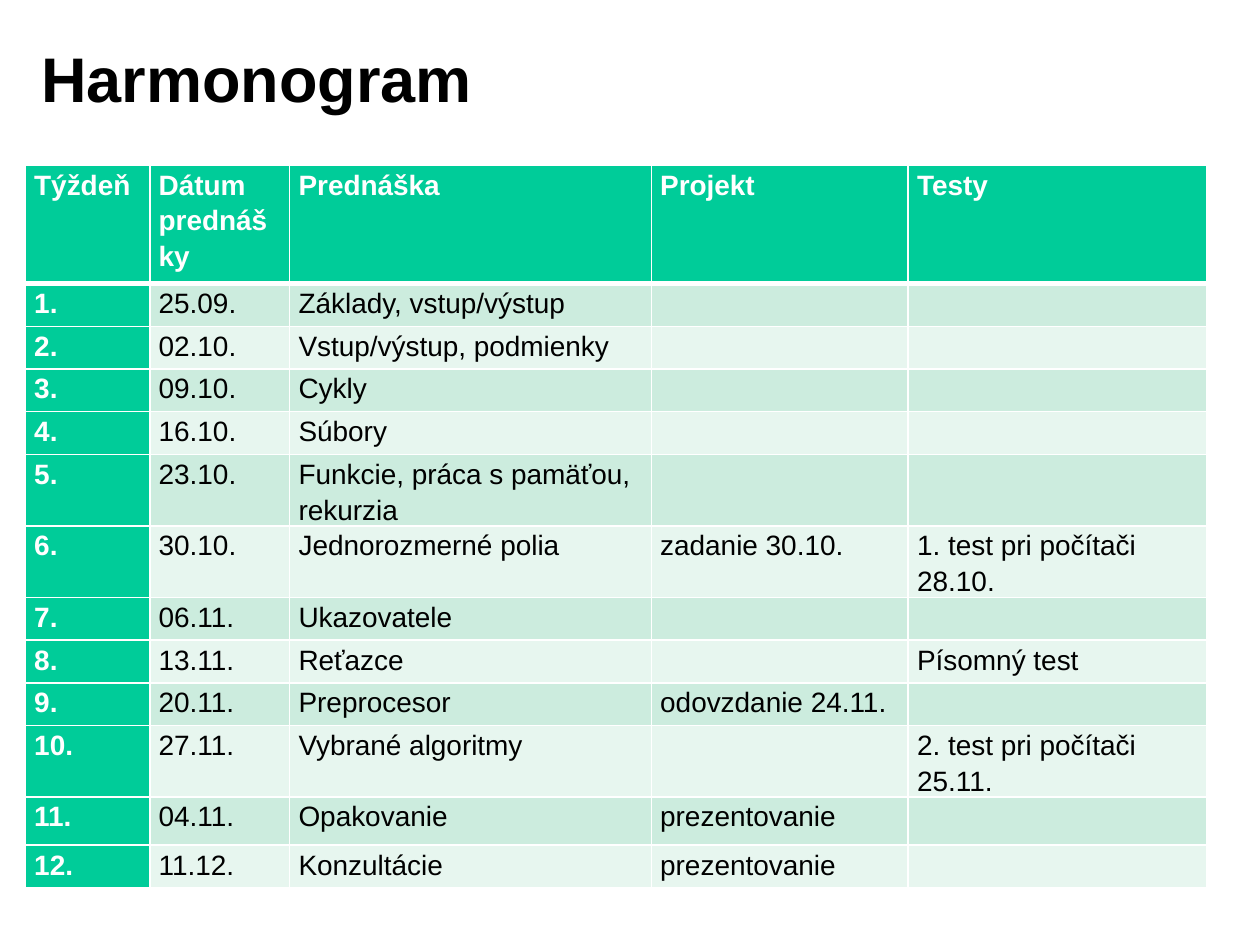
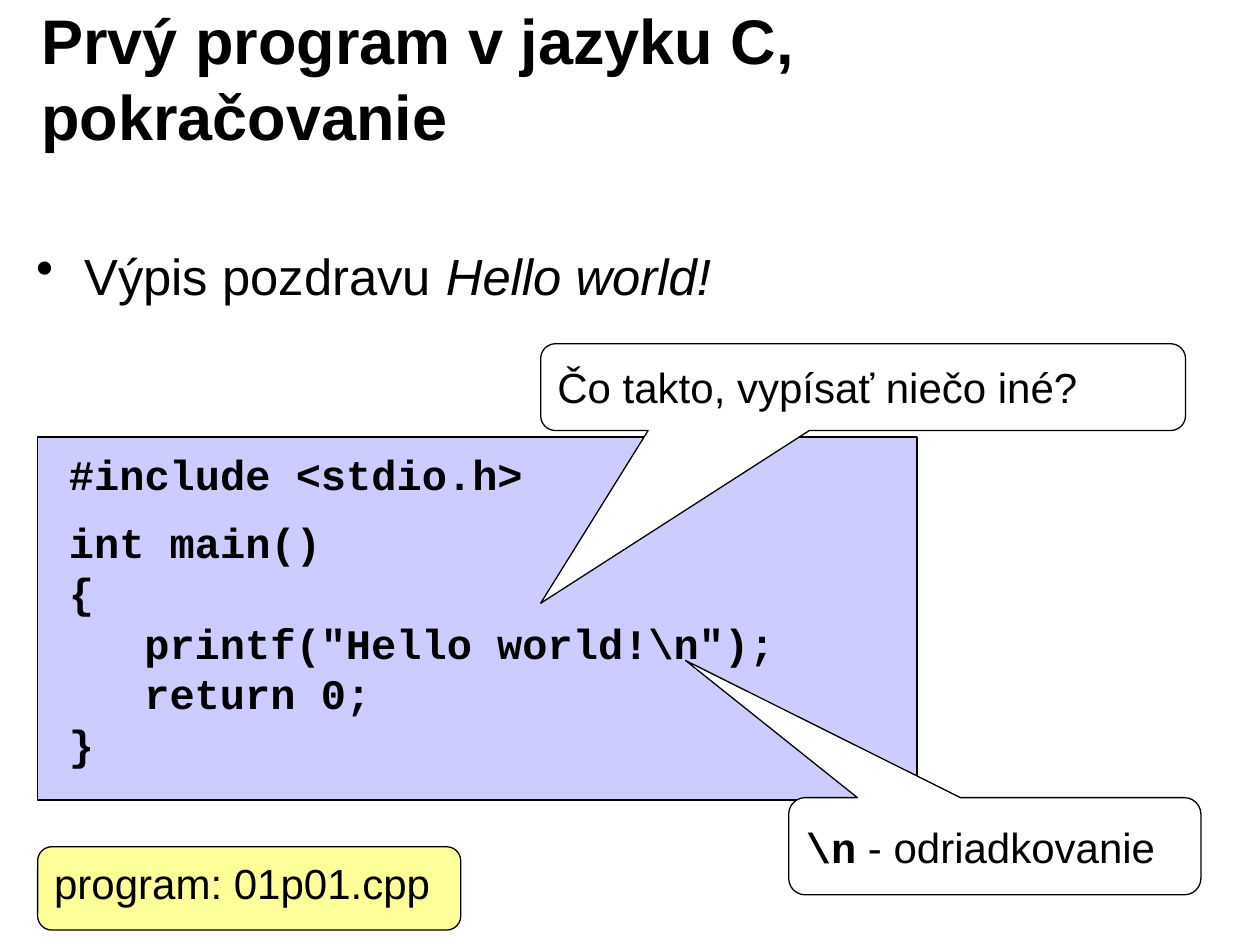
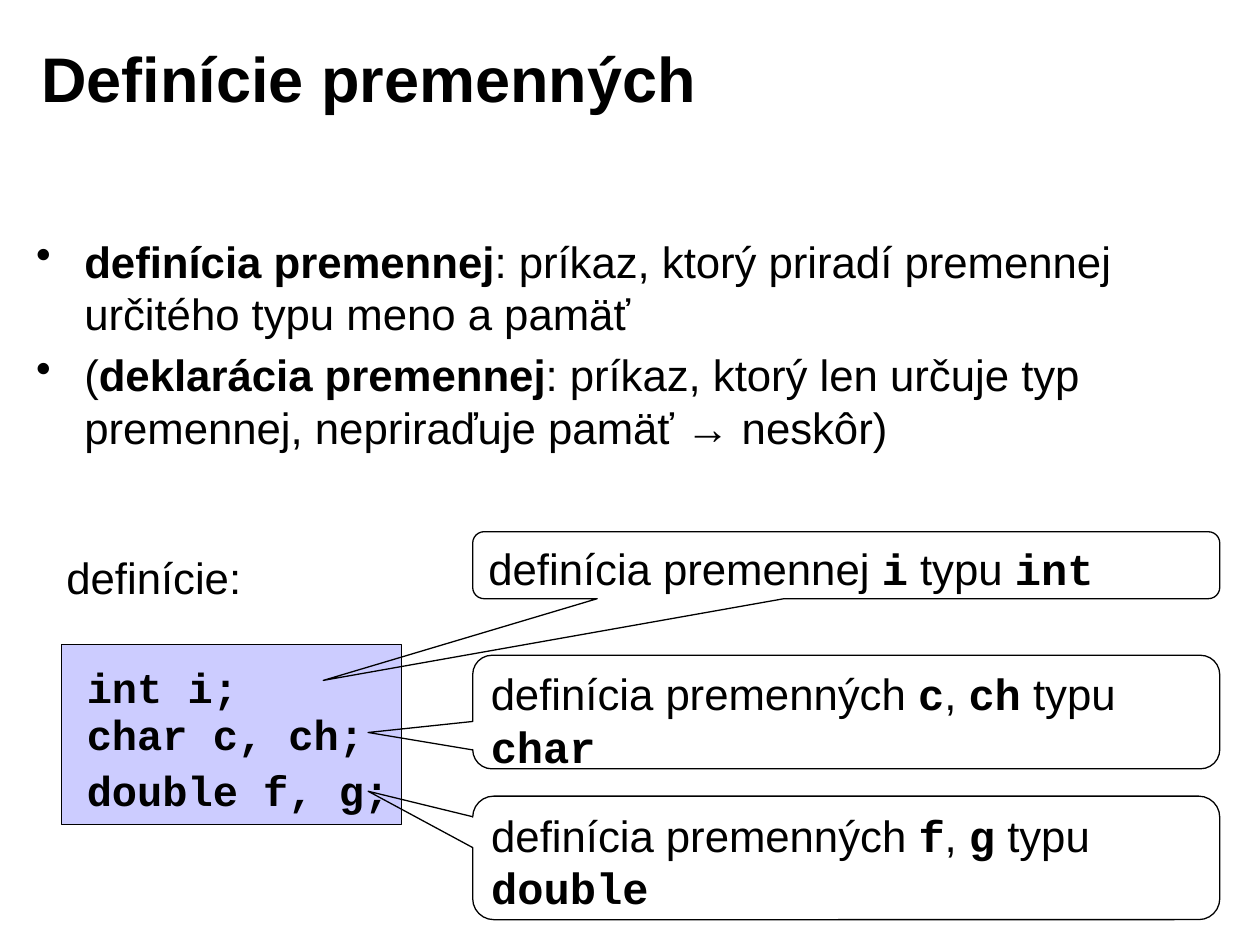
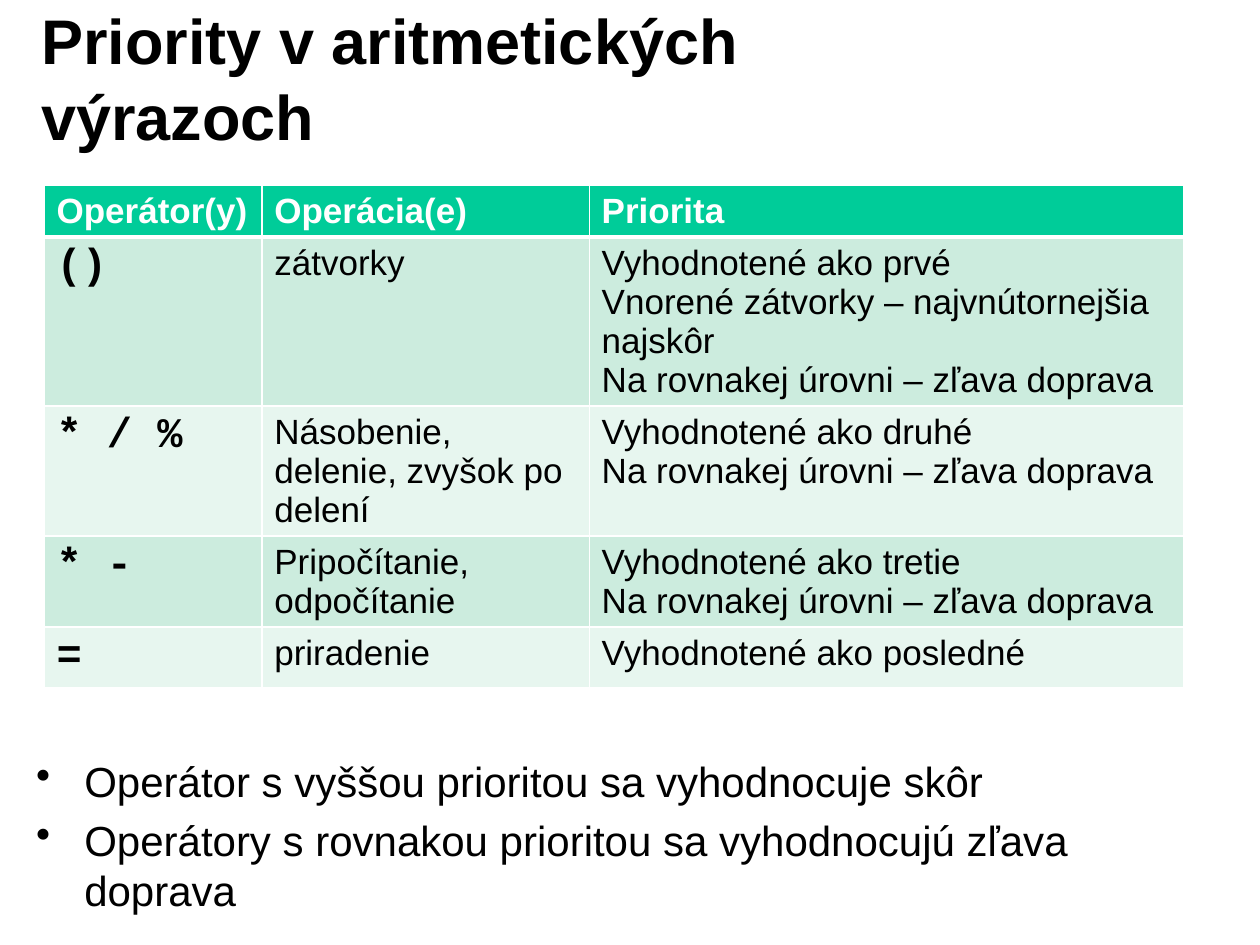
from lxml.etree import SubElement
from pptx import Presentation
from pptx.dml.color import RGBColor
from pptx.enum.shapes import MSO_SHAPE as Preset
from pptx.enum.text import MSO_ANCHOR as Anchor, MSO_AUTO_SIZE as AutoSize, PP_ALIGN as Align
from pptx.oxml.ns import qn
from pptx.util import Cm, Pt

BLACK, WHITE = "000000", "FFFFFF"
GREEN, BAND_DARK, BAND_LIGHT = "00CC99", "CCECDE", "E7F6EF"
LAVENDER, YELLOW = "CCCCFF", "FFFF99"
SANS, CODE = "Arial", "Courier New"
CALLOUT = Preset.ROUNDED_RECTANGULAR_CALLOUT
hex_color = RGBColor.from_string


def write(frame, lines, size, font=SANS, color=BLACK, bold=False, mark=None, bullet=False, spacing=None):
    frame.word_wrap = True
    for index, line in enumerate(lines):
        para = frame.add_paragraph() if index else frame.paragraphs[0]
        if bullet:
            properties = para._p.get_or_add_pPr()
            properties.set("marL", str(Cm(0.97)))
            properties.set("indent", str(Cm(-0.97)))
            SubElement(properties, qn("a:buChar")).set("char", "•")
            para.space_before = Pt(0.2 * size)
        para.alignment = Align.LEFT
        para.line_spacing = spacing
        para.font.size = Pt(size)
        para.font.name = font
        para.font.bold = bold
        para.font.color.rgb = hex_color(color)
        for position, text in enumerate(line.split("|")):
            if text:
                span = para.add_run()
                span.text = text
                if position % 2:
                    for name, value in mark.items():
                        setattr(span.font, name, value)


def add_box(page, place, kind=None, fill=None, adjustments=(), anchor=Anchor.TOP):
    place = [Cm(length) for length in place]
    if kind is None:
        return page.shapes.add_textbox(*place).text_frame
    box = page.shapes.add_shape(kind, *place)
    box.shadow.inherit = False
    if fill:
        box.fill.solid()
        box.fill.fore_color.rgb = hex_color(fill)
    else:
        box.fill.background()
    box.line.color.rgb = hex_color(BLACK)
    box.line.width = Pt(0.75)
    for index, value in enumerate(adjustments):
        box.adjustments[index] = value
    box.text_frame.vertical_anchor = anchor
    return box.text_frame


deck = Presentation()
deck.slide_width, deck.slide_height = Cm(25.4), Cm(19.05)

pages = []
for heading in (
    "Harmonogram",
    "Prvý program v jazyku C, pokračovanie",
    "Definície premenných",
    "Priority v aritmetických výrazoch",
):
    page = deck.slides.add_slide(deck.slide_layouts[5])
    title = page.shapes.title
    title.left, title.top, title.width, title.height = Cm(0.58), Cm(0.38), Cm(20.4), Cm(2.36)
    title.text_frame.vertical_anchor = Anchor.MIDDLE
    title.text_frame.auto_size = AutoSize.NONE
    write(title.text_frame, [heading], 36, bold=True)
    pages.append(page)
schedule_page, hello_page, variables_page, priority_page = pages

schedule = [
    ("Týždeň", "Dátum prednášky", "Prednáška", "Projekt", "Testy"),
    ("1.", "25.09.", "Základy, vstup/výstup", "", ""),
    ("2.", "02.10.", "Vstup/výstup, podmienky", "", ""),
    ("3.", "09.10.", "Cykly", "", ""),
    ("4.", "16.10.", "Súbory", "", ""),
    ("5.", "23.10.", "Funkcie, práca s pamäťou, rekurzia", "", ""),
    ("6.", "30.10.", "Jednorozmerné polia", "zadanie 30.10.", "1. test pri počítači 28.10."),
    ("7.", "06.11.", "Ukazovatele", "", ""),
    ("8.", "13.11.", "Reťazce", "", "Písomný test"),
    ("9.", "20.11.", "Preprocesor", "odovzdanie 24.11.", ""),
    ("10.", "27.11.", "Vybrané algoritmy", "", "2. test pri počítači 25.11."),
    ("11.", "04.11.", "Opakovanie", "prezentovanie", ""),
    ("12.", "11.12.", "Konzultácie", "prezentovanie", ""),
]
same_level = "Na rovnakej úrovni – zľava doprava"
priorities = [
    ("Operátor(y)", "Operácia(e)", "Priorita"),
    ("()", "zátvorky", "Vyhodnotené ako prvé\nVnorené zátvorky – najvnútornejšia najskôr\n" + same_level),
    ("* / %", "Násobenie, delenie, zvyšok po delení", "Vyhodnotené ako druhé\n" + same_level),
    ("* -", "Pripočítanie, odpočítanie", "Vyhodnotené ako tretie\n" + same_level),
    ("=", "priradenie", "Vyhodnotené ako posledné"),
]
schedule_heights = [2.39] + [0.86] * 4 + [1.44] * 2 + [0.86] * 3 + [1.44, 0.97, 0.86]
tables = [
    (schedule_page, schedule, 0.51, 3.33, [2.51, 2.82, 7.29, 5.18, 6.02], schedule_heights,
     16, 1.15, (0.18, 0), dict(size=16, color=WHITE), GREEN),
    (priority_page, priorities, 0.89, 3.73, [4.39, 6.6, 11.99], [1.04, 3.4, 2.62, 1.8, 1.21],
     20, None, (0.25, 0.13), dict(size=24, font=CODE), None),
]
for page, rows, left, top, widths, heights, size, spacing, insets, key_style, key_fill in tables:
    grid = page.shapes.add_table(
        len(rows), len(widths), Cm(left), Cm(top), Cm(sum(widths)), Cm(sum(heights))
    ).table
    for column, width in zip(grid.columns, widths):
        column.width = Cm(width)
    for row_index, (row, height) in enumerate(zip(rows, heights)):
        grid.rows[row_index].height = Cm(height)
        band = BAND_DARK if row_index % 2 else BAND_LIGHT
        for column_index, text in enumerate(row):
            cell = grid.cell(row_index, column_index)
            cell.margin_left = cell.margin_right = Cm(insets[0])
            cell.margin_top = cell.margin_bottom = Cm(insets[1])
            style, fill = dict(size=size), band
            if row_index == 0:
                style, fill = dict(size=size, color=WHITE, bold=True), GREEN
            elif column_index == 0:
                style, fill = dict(key_style, bold=True), key_fill or band
            write(cell.text_frame, text.split("\n"), spacing=spacing, **style)
            for side in "LRTB":
                thick = (side, row_index) in (("B", 0), ("T", 1))
                border = SubElement(cell._tc.get_or_add_tcPr(), qn("a:ln" + side))
                border.set("w", str(Pt(3 if thick else 1)))
                SubElement(SubElement(border, qn("a:solidFill")), qn("a:srgbClr")).set("val", WHITE)
            cell.fill.solid()
            cell.fill.fore_color.rgb = hex_color(fill)

code_mark = dict(name=CODE, bold=True)
greeting = add_box(hello_page, (0.48, 4.8, 24.41, 1.93))
write(greeting, ["Výpis pozdravu |Hello world!"], 29, mark=dict(italic=True), bullet=True)
add_box(hello_page, (0.76, 8.81, 17.73, 7.32), Preset.RECTANGLE, LAVENDER)
program = add_box(hello_page, (1.14, 8.92, 17.65, 6.78))
program_lines = ["#include <stdio.h>", "int main()", "{", 'printf("Hello world!\\n");', "return 0;", "}"]
write(program, program_lines, 24, CODE, bold=True)
program.paragraphs[1].space_before = Pt(10)
for statement in program.paragraphs[3:5]:
    statement._p.get_or_add_pPr().set("marL", str(Cm(1.52)))
question = add_box(hello_page, (10.9, 6.93, 13, 1.75), CALLOUT, WHITE, (-0.5, 2.49, 0.17), Anchor.MIDDLE)
write(question, ["Čo takto, vypísať niečo iné?"], 24)
newline = add_box(hello_page, (15.9, 16.08, 8.31, 1.96), CALLOUT, WHITE, (-0.75, -1.91, 0.17), Anchor.MIDDLE)
write(newline, ["|\\n| - odriadkovanie"], 24, mark=code_mark)
file_label = add_box(hello_page, (0.76, 17.07, 8.53, 1.68), Preset.ROUNDED_RECTANGLE, YELLOW, (0.17,))
write(file_label, ["program: 01p01.cpp"], 24)

add_box(variables_page, (1.24, 13, 6.86, 3.63), Preset.RECTANGLE, LAVENDER)
write(add_box(variables_page, (1.09, 10.97, 4.2, 1.32)), ["definície:"], 25)
terms = [
    "|definícia premennej|: príkaz, ktorý priradí premennej určitého typu meno a pamäť",
    "(|deklarácia premennej|: príkaz, ktorý len určuje typ premennej, nepriraďuje pamäť → neskôr)",
]
write(add_box(variables_page, (0.48, 4.6, 24.41, 5.36)), terms, 25, mark=dict(bold=True), bullet=True)
for top, text in ((13.21, "int i;"), (14.15, "char c, ch;"), (15.29, "double f, g;")):
    write(add_box(variables_page, (1.5, top, 6.8, 1.24)), [text], 24, CODE, bold=True)
for top, height, tip, text in (
    (10.72, 1.35, (-0.7, 1.72), "definícia premennej |i| typu |int"),
    (13.21, 2.29, (-0.64, 0.18), "definícia premenných |c|, |ch| typu |char"),
    (16.05, 2.49, (-0.64, -0.54), "definícia premenných |f|, |g| typu |double"),
):
    note = add_box(variables_page, (9.53, top, 15.06, height), CALLOUT, adjustments=(*tip, 0.17))
    write(note, [text], 25, mark=code_mark)

rules = [
    "Operátor s vyššou prioritou sa vyhodnocuje skôr",
    "Operátory s rovnakou prioritou sa vyhodnocujú zľava doprava",
]
write(add_box(priority_page, (0.48, 15.11, 24.41, 3.81)), rules, 24, bullet=True)

deck.save("out.pptx")
